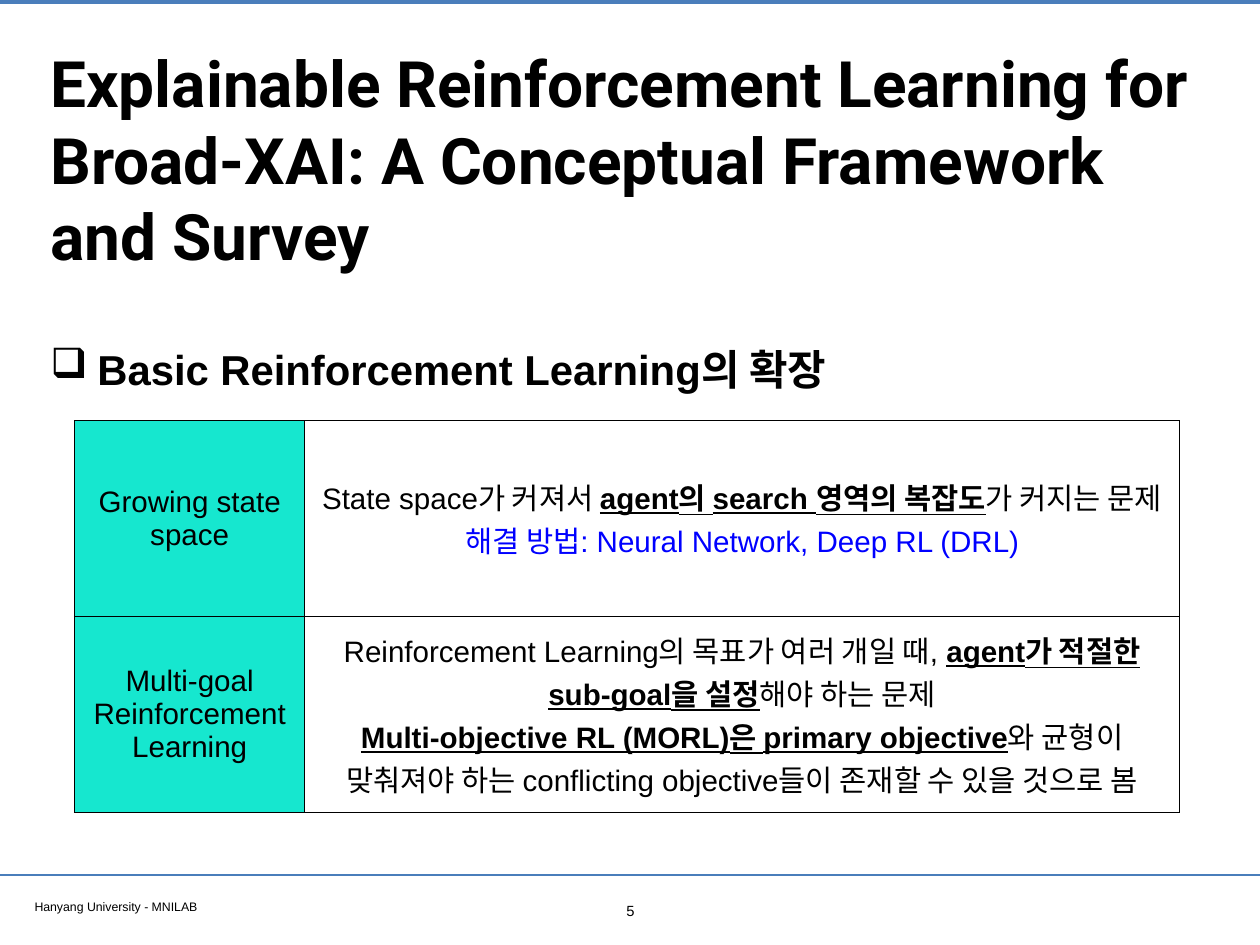
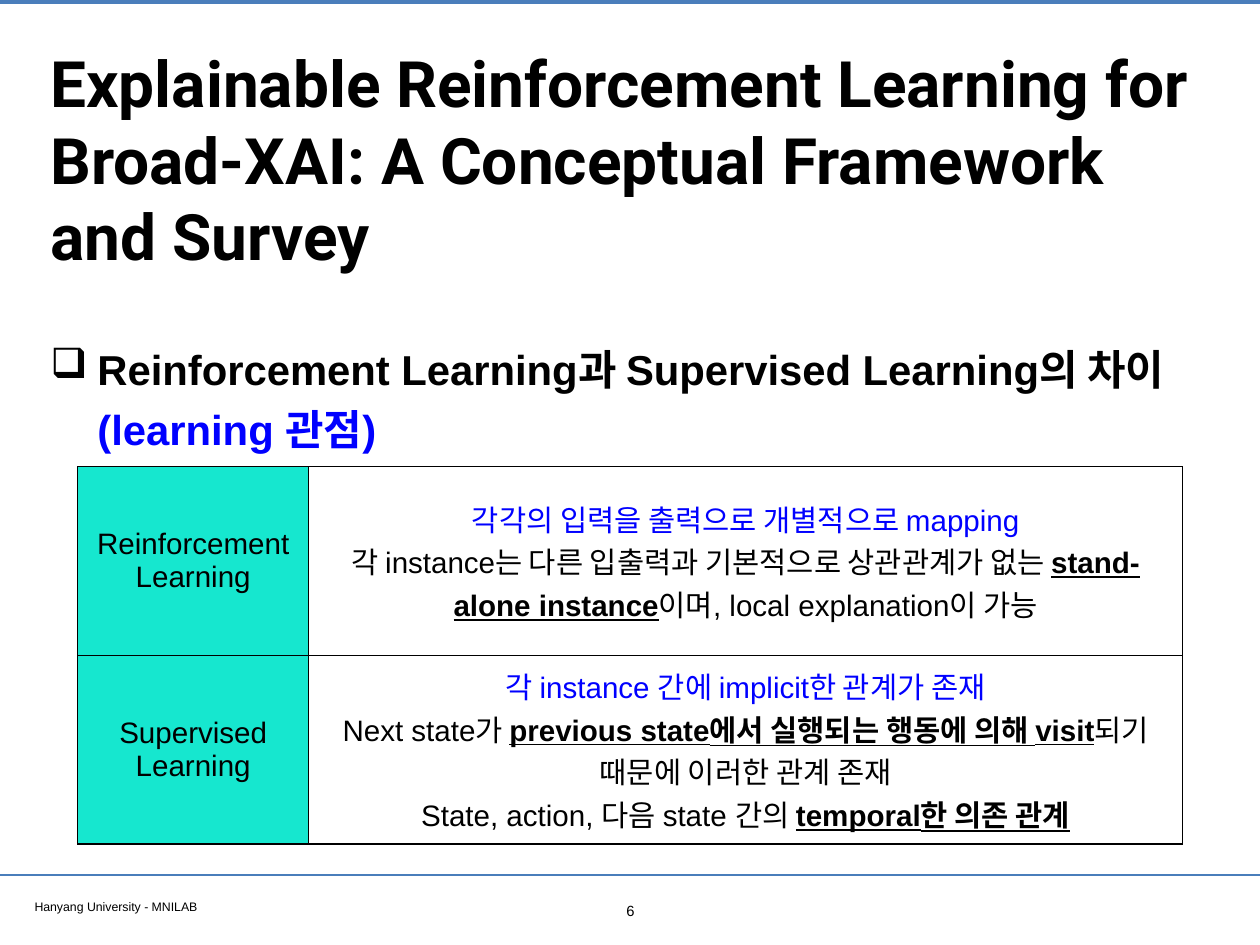
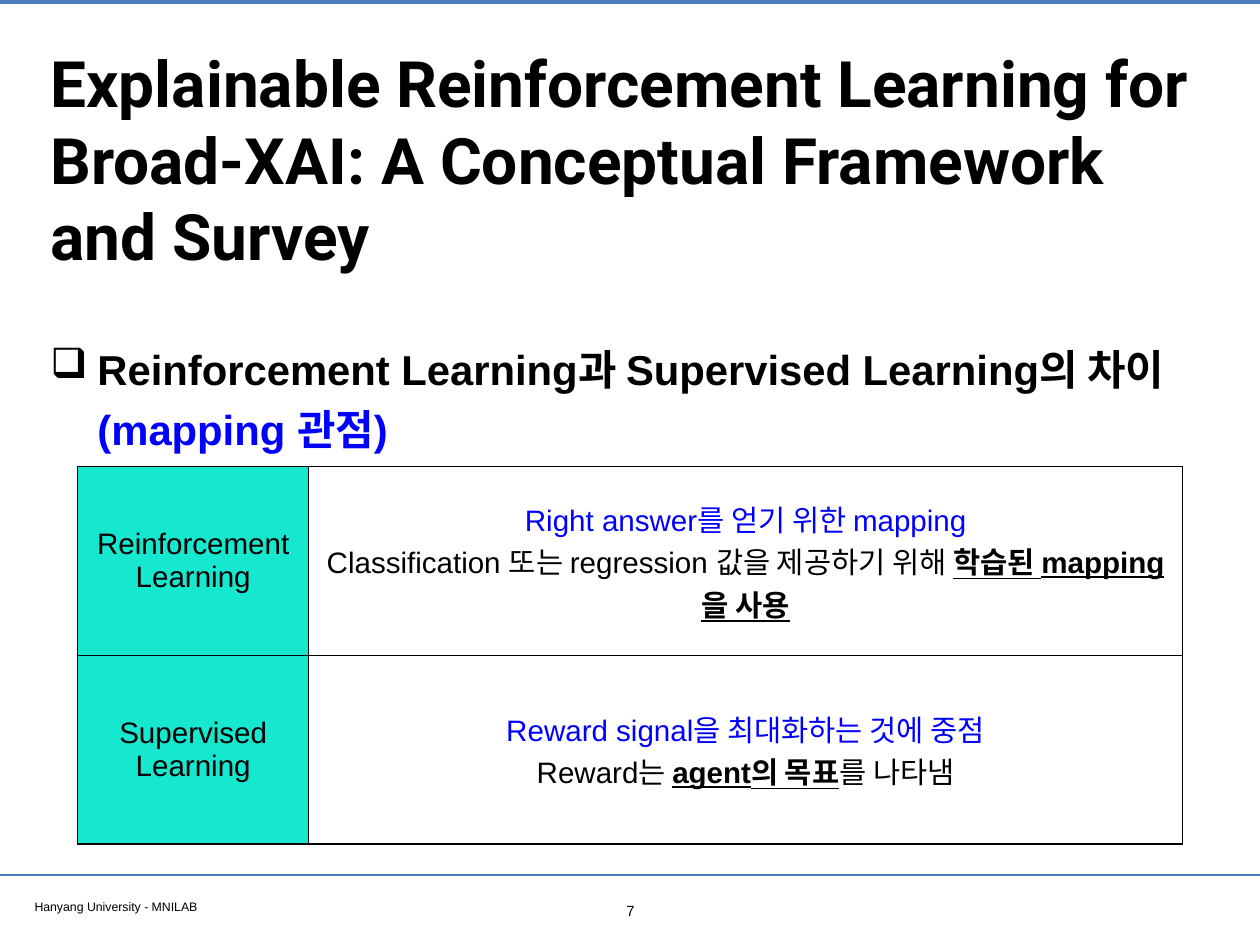
from lxml import etree
from pptx import Presentation
from pptx import util as u
from pptx.dml.color import RGBColor
from pptx.enum import shapes, text
from pptx.oxml import ns

COLORS = {
    "ink": "000000",
    "answer": "0000FF",
    "rule": "4A7EBB",
    "label": "16E7CF",
    "paper": "FFFFFF",
}
WIDTH, HEIGHT = 14.22, 10.67
TITLE = ("Explainable Reinforcement Learning for Broad-XAI: "
         "A Conceptual Framework and Survey")
FOOTER = "Hanyang University - MNILAB"
FIRST_PAGE = 5
COLUMN_WIDTHS = (2.6, 9.87)

# Runs are (text, style) pairs; "key" is bold and underlined.
SLIDES = [
    {
        "heading": [("Basic Reinforcement Learning의 확장", "plain")],
        "heading_height": 1.04,
        "table_at": (0.84, 4.75),
        "row_height": 2.21,
        "rows": [
            ("Growing state space", [
                [("State space가 커져서 ", "plain"),
                 ("agent의 search 영역의 복잡도", "key"),
                 ("가 커지는 문제", "plain")],
                [("해결 방법: Neural Network, Deep RL (DRL)", "answer")],
            ]),
            ("Multi-goal Reinforcement Learning", [
                [("Reinforcement Learning의 목표가 여러 개일 때, ", "plain"),
                 ("agent가 적절한 sub-goal을 설정", "key"),
                 ("해야 하는 문제", "plain")],
                [("Multi-objective RL (MORL)은 primary objective", "key"),
                 ("와 균형이 맞춰져야 하는 conflicting objective들이 "
                  "존재할 수 있을 것으로 봄", "plain")],
            ]),
        ],
    },
    {
        "heading": [("Reinforcement Learning과 Supervised Learning의 차이 ", "plain"),
                    ("(learning 관점)", "answer")],
        "heading_height": 1.7,
        "table_at": (0.88, 5.27),
        "row_height": 2.13,
        "rows": [
            ("Reinforcement Learning", [
                [("각각의 입력을 출력으로 개별적으로 mapping", "answer")],
                [("각 instance는 다른 입출력과 기본적으로 상관관계가 없는 ", "plain"),
                 ("stand-alone instance", "key"),
                 ("이며, local explanation이 가능", "plain")],
            ]),
            ("Supervised Learning", [
                [("각 instance 간에 implicit한 관계가 존재", "answer")],
                [("Next state가 ", "plain"),
                 ("previous state에서 실행되는 행동에 의해 visit", "key"),
                 ("되기 때문에 이러한 관계 존재", "plain")],
                [("State, action, 다음 state 간의 ", "plain"),
                 ("temporal한 의존 관계", "key")],
            ]),
        ],
    },
    {
        "heading": [("Reinforcement Learning과 Supervised Learning의 차이 ", "plain"),
                    ("(mapping 관점)", "answer")],
        "heading_height": 1.7,
        "table_at": (0.88, 5.27),
        "row_height": 2.13,
        "rows": [
            ("Reinforcement Learning", [
                [("Right answer를 얻기 위한 mapping", "answer")],
                [("Classification 또는 regression 값을 제공하기 위해 ", "plain"),
                 ("학습된 mapping을 사용", "key")],
            ]),
            ("Supervised Learning", [
                [("Reward signal을 최대화하는 것에 중점", "answer")],
                [("Reward는 ", "plain"),
                 ("agent의 목표", "key"),
                 ("를 나타냄", "plain")],
            ]),
        ],
    },
]


def color(name):
    return RGBColor.from_string(COLORS[name])


class Deck:
    def __init__(self):
        self.presentation = Presentation()
        self.presentation.slide_width = u.Inches(WIDTH)
        self.presentation.slide_height = u.Inches(HEIGHT)
        self.slide = None

    def add_slide(self, page):
        """Start a slide with its rules, footer, title and page number."""
        layout = self.presentation.slide_layouts[6]
        self.slide = self.presentation.slides.add_slide(layout)
        self.rule(0.02, 3.2)
        self.rule(9.88, 2)
        self.textbox((0.33, 10.09, 5.46, 0.26), [(FOOTER, "plain")], 10)
        title = self.textbox((0.51, 0.28, 13.21, 3.02), [(TITLE, "plain")], 52,
                             font="Roboto", bold=True)
        title.vertical_anchor = text.MSO_ANCHOR.MIDDLE
        number = self.textbox((6.92, 10.12, 0.39, 0.31), [(str(page), "plain")], 12)
        number.paragraphs[0].alignment = text.PP_ALIGN.CENTER

    def rule(self, top, weight):
        line = self.slide.shapes.add_connector(
            shapes.MSO_CONNECTOR.STRAIGHT,
            u.Inches(0), u.Inches(top), u.Inches(WIDTH), u.Inches(top))
        line.line.color.rgb = color("rule")
        line.line.width = u.Pt(weight)
        etree.SubElement(line._element.spPr, ns.qn("a:effectLst"))

    def textbox(self, box, runs, size, font="Arial", bold=False):
        shape = self.slide.shapes.add_textbox(*map(u.Inches, box))
        frame = shape.text_frame
        frame.word_wrap = True
        frame.margin_left = frame.margin_right = u.Inches(0.06)
        frame.margin_top = frame.margin_bottom = u.Inches(0.06)
        self.runs(frame.paragraphs[0], runs, size, font, bold)
        return frame

    def runs(self, paragraph, runs, size, font="Arial", bold=False):
        for words, style in runs:
            run = paragraph.add_run()
            run.text = words
            run.font.name = font
            run.font.size = u.Pt(size)
            run.font.bold = bold or style == "key"
            run.font.underline = style == "key"
            run.font.color.rgb = color("answer" if style == "answer" else "ink")

    def heading(self, runs, height):
        frame = self.textbox((0.51, 3.71, 13.01, height), runs, 34, bold=True)
        paragraph = frame.paragraphs[0]
        paragraph.line_spacing = 1.2
        properties = paragraph._p.get_or_add_pPr()
        properties.set("marL", str(u.Inches(0.53)))
        properties.set("indent", str(-u.Inches(0.53)))
        etree.SubElement(properties, ns.qn("a:buChar"), char="❑")

    def table(self, at, row_height, rows):
        left, top = at
        table = self.slide.shapes.add_table(
            len(rows), len(COLUMN_WIDTHS), u.Inches(left), u.Inches(top),
            u.Inches(sum(COLUMN_WIDTHS)), u.Inches(row_height * len(rows))).table
        table.first_row = table.horz_banding = False
        for column, width in zip(table.columns, COLUMN_WIDTHS):
            column.width = u.Inches(width)
        for index, (label, lines) in enumerate(rows):
            table.rows[index].height = u.Inches(row_height)
            self.cell(table.cell(index, 0), [[(label, "plain")]], "label")
            self.cell(table.cell(index, 1), lines, "paper")

    def cell(self, cell, lines, fill):
        self.borders(cell)
        cell.fill.solid()
        cell.fill.fore_color.rgb = color(fill)
        cell.vertical_anchor = text.MSO_ANCHOR.MIDDLE
        frame = cell.text_frame
        for index, runs in enumerate(lines):
            paragraph = frame.add_paragraph() if index else frame.paragraphs[0]
            paragraph.alignment = text.PP_ALIGN.CENTER
            self.runs(paragraph, runs, 24)

    def borders(self, cell):
        """Outline the cell; must run before its fill is set."""
        properties = cell._tc.get_or_add_tcPr()
        for side in ("lnL", "lnR", "lnT", "lnB"):
            line = etree.SubElement(properties, ns.qn(f"a:{side}"), w=str(u.Pt(1)))
            solid = etree.SubElement(line, ns.qn("a:solidFill"))
            etree.SubElement(solid, ns.qn("a:srgbClr"), val=COLORS["ink"])


def main():
    deck = Deck()
    for page, content in enumerate(SLIDES, FIRST_PAGE):
        deck.add_slide(page)
        deck.heading(content["heading"], content["heading_height"])
        deck.table(content["table_at"], content["row_height"], content["rows"])
    deck.presentation.save("out.pptx")


if __name__ == "__main__":
    main()
